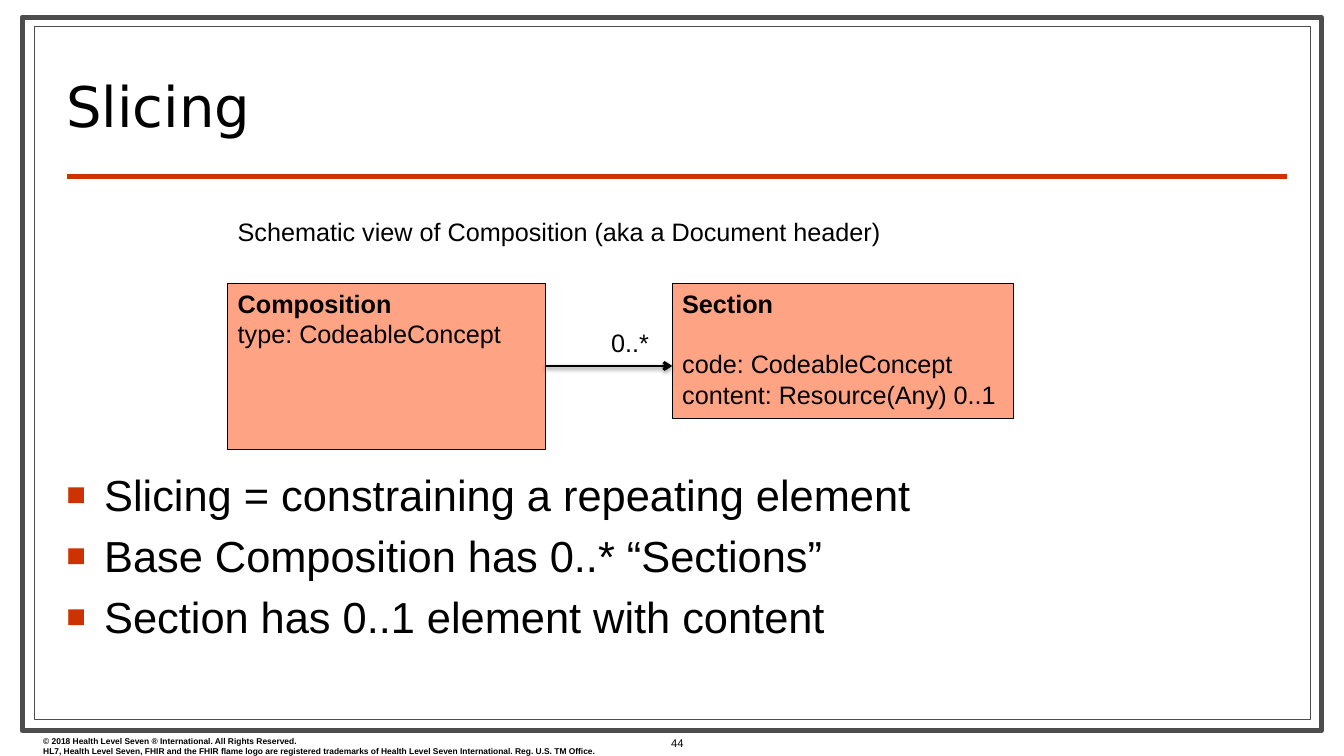
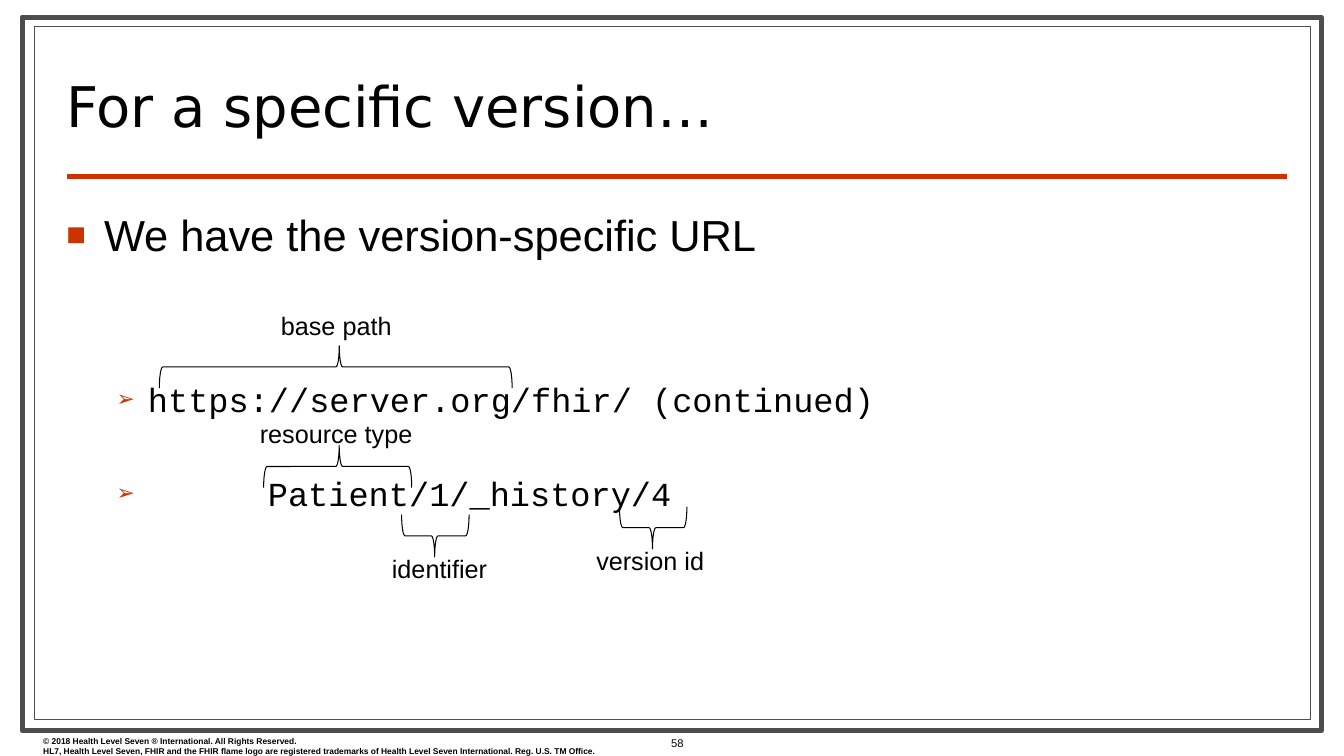
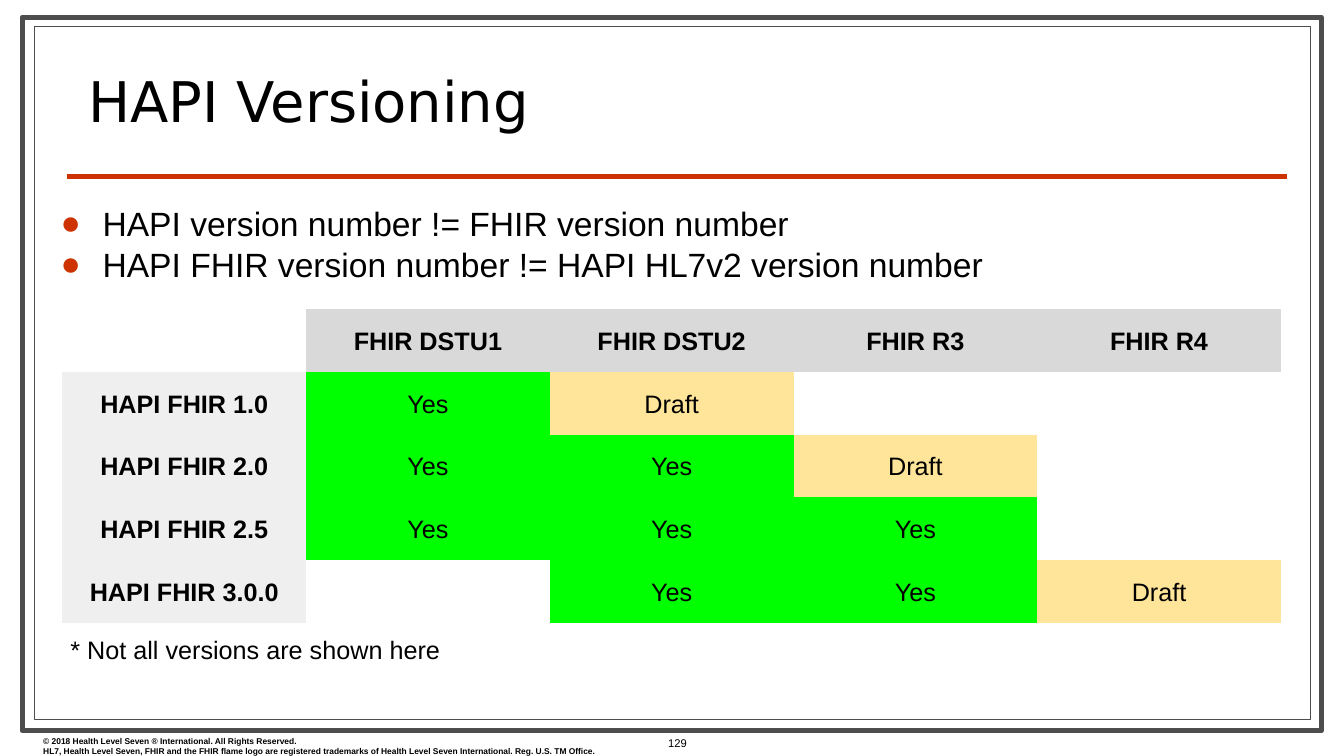
import lxml.etree
import pptx
import pptx.dml.color
import pptx.enum.shapes
import pptx.enum.text
import pptx.oxml.ns
import pptx.util

Pt = pptx.util.Pt
qn = pptx.oxml.ns.qn
SHAPE = pptx.enum.shapes.MSO_SHAPE
ALIGN = pptx.enum.text.PP_ALIGN
ANCHOR = pptx.enum.text.MSO_ANCHOR

COLOURS = {
    "white": "FFFFFF",
    "black": "000000",
    "frame": "4D4D4D",
    "accent": "CC3300",
    "entity": "FFA385",
    "header": "D9D9D9",
    "row": "EFEFEF",
    "Yes": "00FF00",
    "Draft": "FFE599",
}
NO_TABLE_STYLE = "{2D5ABB26-0587-4C30-8999-92F81FD0307C}"
COPYRIGHT = [
    "© 2018 Health Level Seven ® International. All Rights Reserved.",
    "HL7, Health Level Seven, FHIR and the FHIR flame logo are registered trademarks "
    "of Health Level Seven International. Reg. U.S. TM Office.",
]


def colour(name):
    return pptx.dml.color.RGBColor.from_string(COLOURS[name])


def add_element(parent, tag, **attributes):
    return lxml.etree.SubElement(parent, qn(tag), attributes)


def write(frame, text, size=18, font="Arial", bold=False, align=None, before=0,
          leading=1.2, bullet=None, bullet_size=100, margin=0, hanging=0):
    para = frame.paragraphs[0]
    if para.runs:
        para = frame.add_paragraph()
    if bullet:
        properties = para._p.get_or_add_pPr()
        properties.set("marL", str(Pt(margin)))
        properties.set("indent", str(-Pt(hanging)))
        bullet_colour = add_element(properties, "a:buClr")
        add_element(bullet_colour, "a:srgbClr", val=COLOURS["accent"])
        add_element(properties, "a:buSzPct", val=str(bullet_size * 1000))
        add_element(properties, "a:buFont", typeface="Arial")
        add_element(properties, "a:buChar", char=bullet)
    para.line_spacing = Pt(leading * size) if leading > 1 else leading
    para.space_before = Pt(before)
    para.alignment = align
    span = para.add_run()
    span.text = text
    span.font.size = Pt(size)
    span.font.name = font
    span.font.bold = bold
    span.font.color.rgb = colour("black")


class SlideDeck:
    def __init__(self):
        self.deck = pptx.Presentation()
        self.deck.slide_width = Pt(960)
        self.deck.slide_height = Pt(540)
        self.page = None

    def add_page(self, title, number, title_left=40.3, title_inset=3.6):
        self.page = self.deck.slides.add_slide(self.deck.slide_layouts[6])
        self.shape(15.8, 12.2, 928, 509.8, "white", "frame", 3.5)
        self.shape(24.5, 18.7, 911.5, 495.4, "white", "frame")
        self.line(48.2, 126, 919.4, 126, "accent", 3)
        footer = self.text_box(23.8, 522, 463.7, 21.6)
        for text in COPYRIGHT:
            write(footer, text, size=6, bold=True)
        heading = self.text_box(title_left, 37.4, 800, 64.8, ANCHOR.BOTTOM, title_inset)
        write(heading, title, size=40, font="DejaVu Sans", leading=0.8)
        counter = self.text_box(455.8, 522, 56.2, 18, ANCHOR.MIDDLE)
        write(counter, number, size=8, align=ALIGN.CENTER)

    def shape(self, left, top, width, height, fill, line, weight=0.75, kind=SHAPE.RECTANGLE):
        box = self.page.shapes.add_shape(kind, Pt(left), Pt(top), Pt(width), Pt(height))
        box.shadow.inherit = False
        if fill:
            box.fill.solid()
            box.fill.fore_color.rgb = colour(fill)
        else:
            box.fill.background()
        box.line.color.rgb = colour(line)
        box.line.width = Pt(weight)
        return box

    def line(self, x1, y1, x2, y2, line, weight, arrow=False):
        connector = self.page.shapes.add_connector(
            pptx.enum.shapes.MSO_CONNECTOR.STRAIGHT, Pt(x1), Pt(y1), Pt(x2), Pt(y2))
        connector.line.color.rgb = colour(line)
        connector.line.width = Pt(weight)
        properties = connector.element.spPr
        effects = add_element(properties, "a:effectLst")
        if arrow:
            add_element(properties.find(qn("a:ln")), "a:tailEnd", type="arrow")
            shadow = add_element(effects, "a:outerShdw", blurRad=str(Pt(3.1)),
                                 dist=str(Pt(1.6)), dir="5400000", rotWithShape="0")
            tint = add_element(shadow, "a:srgbClr", val=COLOURS["black"])
            add_element(tint, "a:alpha", val="38000")

    def text_box(self, left, top, width, height, anchor=ANCHOR.TOP, inset=3.6, wrap=True):
        box = self.page.shapes.add_textbox(Pt(left), Pt(top), Pt(width), Pt(height))
        frame = box.text_frame
        frame.word_wrap = wrap
        frame.vertical_anchor = anchor
        frame.margin_top = frame.margin_bottom = Pt(inset)
        return frame

    def label(self, text, left, top, width):
        frame = self.text_box(left, top, width, 28.8, wrap=False)
        write(frame, text, align=ALIGN.CENTER)

    def bullets(self, top, height, lines):
        frame = self.text_box(40.3, top, 880, height)
        for index, text in enumerate(lines):
            write(frame, text, size=31, before=6.2 if index else 0,
                  bullet="■", bullet_size=75, margin=27, hanging=27)
        return frame

    def entity(self, left, width, height, name, fields, gap=0):
        box = self.shape(left, 202.3, width, height, "entity", "black")
        frame = box.text_frame
        frame.vertical_anchor = ANCHOR.TOP
        write(frame, name, bold=True, align=ALIGN.LEFT)
        for index, field in enumerate(fields):
            write(frame, field, align=ALIGN.LEFT, before=0 if index else gap)

    def brace(self, centre_x, centre_y, span, rotation):
        depth = 30.2
        brace = self.shape(centre_x - depth / 2, centre_y - span / 2, depth, span,
                           None, "black", kind=SHAPE.LEFT_BRACE)
        brace.rotation = rotation
        brace.adjustments[0] = 0.08
        brace.adjustments[1] = 0.49

    def table(self, left, top, column_width, row_height, rows):
        graphic = self.page.shapes.add_table(
            len(rows), len(rows[0]), Pt(left), Pt(top),
            Pt(column_width * len(rows[0])), Pt(row_height * len(rows)))
        table = graphic.table
        table.first_row = table.horz_banding = False
        table._tbl.tblPr.find(qn("a:tableStyleId")).text = NO_TABLE_STYLE
        for row_index, row in enumerate(rows):
            table.rows[row_index].height = Pt(row_height)
            for column_index, text in enumerate(row):
                table.columns[column_index].width = Pt(column_width)
                cell = table.cell(row_index, column_index)
                cell.vertical_anchor = ANCHOR.MIDDLE
                cell.margin_top = cell.margin_bottom = Pt(7.2)
                if not text:
                    cell.fill.background()
                    continue
                fill = "header" if row_index == 0 else "row" if column_index == 0 else text
                cell.fill.solid()
                cell.fill.fore_color.rgb = colour(fill)
                write(cell.text_frame, text, bold=fill in ("header", "row"),
                      align=ALIGN.CENTER)


def add_slicing(slides):
    slides.add_page("Slicing", "44")
    slides.bullets(331, 162, [
        "Slicing = constraining a repeating element",
        "Base Composition has 0..* “Sections”",
        "Section has 0..1 element with content",
    ])
    slides.entity(162.7, 226.8, 118.8, "Composition", ["type: CodeableConcept"])
    slides.entity(480.2, 244.1, 96.5, "Section",
                  ["code: CodeableConcept", "content: Resource(Any) 0..1"], gap=21.6)
    slides.line(389.5, 261.4, 480.2, 261.4, "black", 2, arrow=True)
    slides.label("0..*", 429.1, 230.4, 41.8)
    write(slides.text_box(162.7, 151.2, 544.3, 28.8),
          "Schematic view of Composition (aka a Document header)")


def add_specific_version(slides):
    slides.add_page("For a specific version…", "58")
    body = slides.bullets(145, 347, ["We have the version-specific URL"])
    for text, before, margin in [
        ("https://server.org/fhir/ (continued)", 84.6, 58.3),
        ("Patient/1/_history/4", 38.4, 144),
    ]:
        write(body, text, size=24, font="Courier New", before=before, bullet="➢",
              bullet_size=65, margin=margin, hanging=margin - 36)
    for centre_x, centre_y, span, rotation in [
        (239.8, 262.1, 252, 90),
        (241.2, 295.2 + 38, 105.8, 90),
        (311, 382.7, 48.2, 270),
        (466.6, 376.9, 48.2, 270),
    ]:
        slides.brace(centre_x, centre_y, span, rotation)
    for text, left, top, width in [
        ("base path", 193, 218.2, 94.3),
        ("resource type", 177.8, 295.2, 124.6),
        ("identifier", 272.2, 391.7, 83.5),
        ("version id", 418.3, 385.9, 92.2),
    ]:
        slides.label(text, left, top, width)


def add_versioning(slides):
    slides.add_page("HAPI Versioning", "129", title_left=56.2, title_inset=7.2)
    points = slides.text_box(30.2, 138, 882, 67.7, inset=7.2)
    for text in [
        "HAPI version number != FHIR version number",
        "HAPI FHIR version number != HAPI HL7v2 version number",
    ]:
        write(points, text, size=24, bullet="●", margin=36, hanging=30)
    slides.table(44.6, 221, 174.1, 44.8, [
        ["", "FHIR DSTU1", "FHIR DSTU2", "FHIR R3", "FHIR R4"],
        ["HAPI FHIR 1.0", "Yes", "Draft", "", ""],
        ["HAPI FHIR 2.0", "Yes", "Yes", "Draft", ""],
        ["HAPI FHIR 2.5", "Yes", "Yes", "Yes", ""],
        ["HAPI FHIR 3.0.0", "", "Yes", "Yes", "Draft"],
    ])
    write(slides.text_box(43.2, 445.7, 882, 67.7, inset=7.2),
          "* Not all versions are shown here")


def main():
    slides = SlideDeck()
    add_slicing(slides)
    add_specific_version(slides)
    add_versioning(slides)
    slides.deck.save("out.pptx")


if __name__ == "__main__":
    main()
